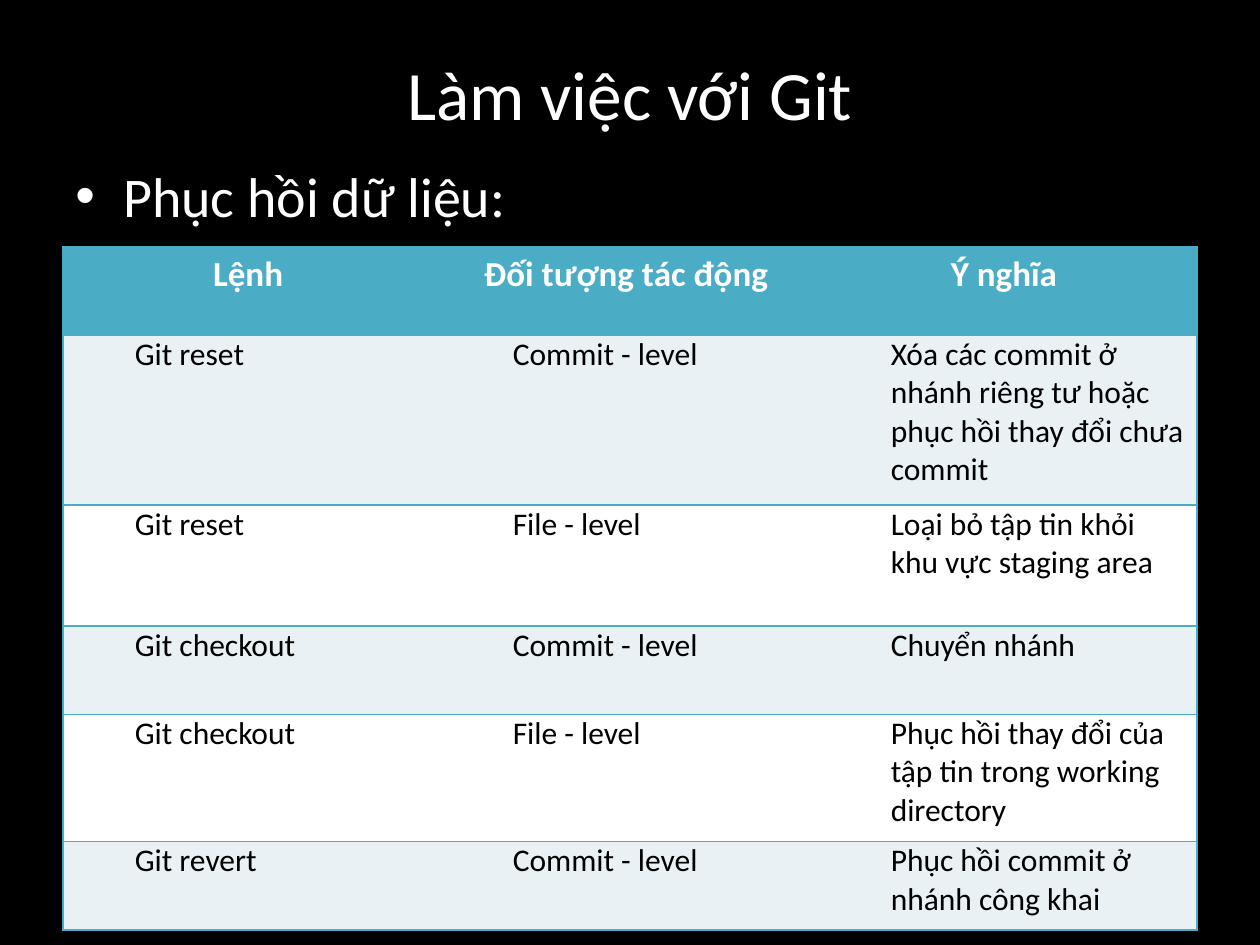
from lxml import etree
from pptx import Presentation
from pptx import util as u
from pptx.dml.color import RGBColor
from pptx.enum import text
from pptx.oxml.ns import qn

TITLE = "Làm việc với Git"
TOPIC = "Phục hồi dữ liệu:"
HEADINGS = ("Lệnh ", "Đối tượng tác động ", "Ý nghĩa ")
COMMANDS = [
    ("Git reset", "Commit - level",
     "Xóa các commit ở nhánh riêng tư hoặc phục hồi thay đổi chưa commit"),
    ("Git reset", "File - level", "Loại bỏ tập tin khỏi khu vực staging area"),
    ("Git checkout", "Commit - level", "Chuyển nhánh"),
    ("Git checkout", "File - level",
     "Phục hồi thay đổi của tập tin trong working directory"),
    ("Git revert", "Commit - level", "Phục hồi commit ở nhánh công khai"),
]
ROW_HEIGHTS = (0.7, 1.35, 0.96, 0.7, 1.01, 0.7)
MARGIN, WIDTH = 0.5, 9
FONT = "Calibri"
NO_STYLE = "{2D5ABB26-0587-4C30-8999-92F81FD0307C}"

BLACK = RGBColor(0, 0, 0)
WHITE = RGBColor(255, 255, 255)
TEAL = RGBColor(0x4B, 0xAC, 0xC6)
PALE = RGBColor(0xE9, 0xF1, 0xF5)


def style(paragraph, size, color, bold=False):
    font = paragraph.font
    font.name, font.size, font.bold = FONT, u.Pt(size), bold
    font.color.rgb = color


def indent(paragraph, left, first=0):
    props = paragraph._p.get_or_add_pPr()
    props.set("marL", str(u.Inches(left)))
    props.set("indent", str(u.Inches(first)))
    return props


def add_line(slide, words, top, height, size, anchor):
    box = slide.shapes.add_textbox(*map(u.Inches, (MARGIN, top, WIDTH, height)))
    frame = box.text_frame
    frame.word_wrap, frame.vertical_anchor = True, anchor
    paragraph = frame.paragraphs[0]
    paragraph.text = words
    style(paragraph, size, WHITE)
    return paragraph


def add_borders(cell, sides):
    props = cell._tc.get_or_add_tcPr()
    for place, side in enumerate(sides):
        line = etree.Element(qn("a:ln" + side), w=str(u.Pt(1)))
        fill = etree.SubElement(line, qn("a:solidFill"))
        etree.SubElement(fill, qn("a:srgbClr"), val=str(TEAL))
        props.insert(place, line)


deck = Presentation()
deck.slide_width, deck.slide_height = u.Inches(10), u.Inches(7.5)
slide = deck.slides.add_slide(deck.slide_layouts[6])
slide.background.fill.solid()
slide.background.fill.fore_color.rgb = BLACK

# Title and topic
title = add_line(slide, TITLE, 0.33, 0.82, 39.6, text.MSO_ANCHOR.MIDDLE)
title.alignment = text.PP_ALIGN.CENTER
topic = add_line(slide, TOPIC, 1.23, 0.7, 32, text.MSO_ANCHOR.TOP)
topic.space_before = u.Pt(6.4)
topic_props = indent(topic, 0.38, -0.38)
bullet_font = etree.Element(qn("a:buFont"), typeface="Arial")
bullet = etree.Element(qn("a:buChar"), char="•")
topic_props.find(qn("a:spcBef")).addnext(bullet_font)
bullet_font.addnext(bullet)

# Command table
rows = [HEADINGS, *COMMANDS]
table = slide.shapes.add_table(
    len(rows), len(HEADINGS),
    *map(u.Inches, (MARGIN, 1.96, WIDTH, sum(ROW_HEIGHTS)))).table
table._tbl.tblPr.find(qn("a:tableStyleId")).text = NO_STYLE
for row, height in zip(table.rows, ROW_HEIGHTS):
    row.height = u.Inches(height)

for r, entries in enumerate(rows):
    for c, words in enumerate(entries):
        cell = table.cell(r, c)
        cell.text = words
        paragraph = cell.text_frame.paragraphs[0]
        cell.fill.solid()
        if r == 0:
            cell.fill.fore_color.rgb = TEAL
            paragraph.alignment = text.PP_ALIGN.CENTER
            style(paragraph, 20, WHITE, bold=True)
        else:
            cell.fill.fore_color.rgb = PALE if r % 2 else WHITE
            cell.margin_left = cell.margin_right = u.Inches(0.07)
            cell.margin_top = cell.margin_bottom = 0
            indent(paragraph, 0.5)
            style(paragraph, 18, BLACK)
        outer = {0: "L", len(HEADINGS) - 1: "R"}.get(c, "")
        add_borders(cell, outer + "TB")

deck.save("out.pptx")
